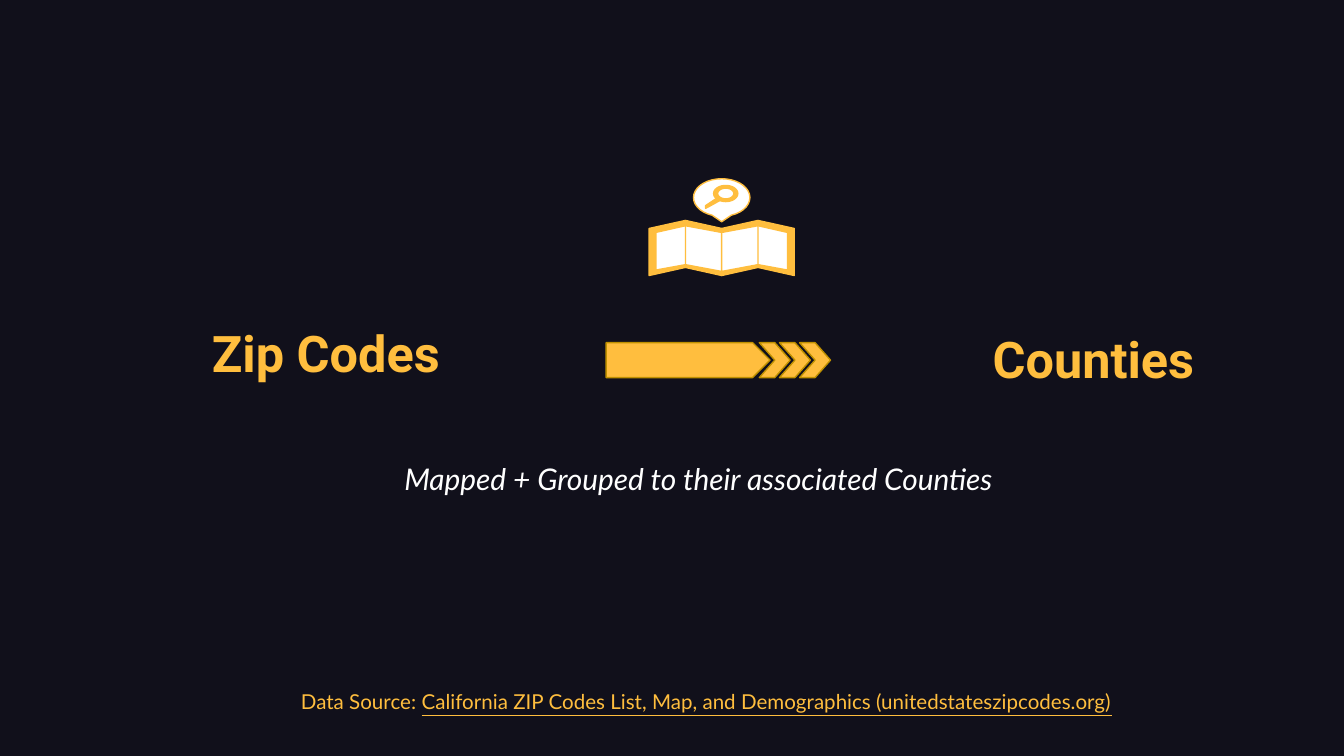
"""Build the slide that maps zip codes to counties."""
import math
from pptx import Presentation
from pptx import util as u
from pptx.dml.color import RGBColor
from pptx.enum import shapes, text

WIDTH = 10
HEIGHT = WIDTH * 9 / 16
GOLD, WHITE, NIGHT, BRONZE = "FFBE3E", "FFFFFF", "11101B", "BF9000"

HEADINGS = [("Zip Codes", (1.31, 2.3, 2.23, 0.51)), ("Counties", (7.04, 2.34, 2.19, 0.54))]
CAPTION = "Mapped + Grouped to their associated Counties"
SOURCE = ("Data Source: ", "California ZIP Codes List, Map, and Demographics (unitedstateszipcodes.org)")

ARROW_TOP, ARROW_HEIGHT = 2.55, 0.26
BAR_LEFT, BAR_WIDTH = 4.51, 1.22
CHEVRON_LEFT, CHEVRON_WIDTH, CHEVRON_STEP, CHEVRONS = 5.65, 0.23, 0.15, 3

MAP_LEFT, FOLD_WIDTH, FOLDS, MARGIN = 4.83, 0.27, 4, 0.05
CENTRE = MAP_LEFT + 2 * FOLD_WIDTH
HANDLE = [(5.34, 1.47), (5.25, 1.53), (5.25, 1.55), (5.27, 1.54), (5.36, 1.49), (5.37, 1.48)]


def colour(value):
    return RGBColor.from_string(value)


def place(box, left, top, width, height):
    box.left, box.top, box.width, box.height = map(u.Inches, (left, top, width, height))


def write(box, *parts, size, font, ink, bold=False, italic=False, align=text.PP_ALIGN.LEFT, after=0):
    frame = box.text_frame
    frame.word_wrap = True
    frame.auto_size = text.MSO_AUTO_SIZE.NONE
    frame.vertical_anchor = text.MSO_ANCHOR.TOP
    frame.margin_left = frame.margin_right = frame.margin_top = frame.margin_bottom = u.Inches(0.1)
    para = frame.paragraphs[0]
    para.alignment, para.space_after = align, u.Pt(after)
    for index, part in enumerate(parts):
        span = para.add_run()
        span.text = part
        span.font.size, span.font.name = u.Pt(size), font
        span.font.bold, span.font.italic = bold, italic
        span.font.underline = index > 0
        span.font.color.rgb = colour(ink)


def paint(shape, fill, line):
    shape.shadow.inherit = False
    shape.fill.solid()
    shape.fill.fore_color.rgb = colour(fill)
    shape.line.color.rgb = colour(line)
    shape.line.width = u.Pt(0.75)


def outline(group, points, fill):
    start, *rest = [(u.Inches(x), u.Inches(y)) for x, y in points]
    builder = group.shapes.build_freeform(*start)
    builder.add_line_segments(rest, close=True)
    paint(builder.convert_to_shape(), fill, GOLD)


def arc(x, y, across, down, start=0, stop=360, step=10):
    angles = [math.radians(angle) for angle in range(start, stop + 1, step)]
    return [(x + across * math.cos(a), y + down * math.sin(a)) for a in angles]


def strip(columns, tops, bottoms):
    return list(zip(columns, tops)) + list(zip(columns, bottoms))[::-1]


def draw_arrow(page):
    group = page.shapes.add_group_shape()
    parts = [(shapes.MSO_SHAPE.PENTAGON, BAR_LEFT, BAR_WIDTH)]
    parts += [(shapes.MSO_SHAPE.CHEVRON, CHEVRON_LEFT + i * CHEVRON_STEP, CHEVRON_WIDTH) for i in range(CHEVRONS)]
    for kind, left, width in parts:
        shape = group.shapes.add_shape(kind, *map(u.Inches, (left, ARROW_TOP, width, ARROW_HEIGHT)))
        shape.adjustments[0] = 0.5
        paint(shape, GOLD, BRONZE)


def draw_map(page):
    group = page.shapes.add_group_shape()
    outline(group, arc(CENTRE, 1.47, 0.21, 0.14, 110, 430) + [(CENTRE, 1.65)], WHITE)
    outline(group, arc(5.4, 1.44, 0.09, 0.06), GOLD)
    outline(group, arc(5.4, 1.44, 0.06, 0.04), WHITE)
    outline(group, HANDLE, GOLD)
    columns = [MAP_LEFT + i * FOLD_WIDTH for i in range(FOLDS + 1)]
    tops, bottoms = [1.7, 1.64, 1.7, 1.64, 1.7], [2.05, 1.99, 2.05, 1.99, 2.05]
    for i in range(FOLDS):
        pair = slice(i, i + 2)
        outline(group, strip(columns[pair], tops[pair], bottoms[pair]), GOLD)
    columns[0] += MARGIN
    columns[-1] -= MARGIN
    tops, bottoms = [1.73, 1.68, 1.73, 1.68, 1.73], [2.01, 1.97, 2.02, 1.97, 2.01]
    for part in (slice(0, 5), slice(0, 2), slice(2, 4)):
        outline(group, strip(columns[part], tops[part], bottoms[part]), WHITE)


def main():
    deck = Presentation()
    deck.slide_width, deck.slide_height = u.Inches(WIDTH), u.Inches(HEIGHT)
    page = deck.slides.add_slide(deck.slide_layouts[5])
    page.background.fill.solid()
    page.background.fill.fore_color.rgb = colour(NIGHT)

    boxes = [page.shapes.title, page.shapes.add_textbox(0, 0, 0, 0)]
    for box, (words, area) in zip(boxes, HEADINGS):
        place(box, *area)
        write(box, words, size=27, font="Roboto", ink=GOLD, bold=True, align=text.PP_ALIGN.CENTER)

    draw_arrow(page)
    caption = page.shapes.add_textbox(0, 0, 0, 0)
    place(caption, 2.91, 3.33, 4.91, 0.51)
    write(caption, CAPTION, size=16, font="Lato", ink=WHITE, italic=True, after=12)
    draw_map(page)
    source = page.shapes.add_textbox(0, 0, 0, 0)
    place(source, 2.14, 5.03, 6.31, 0.38)
    write(source, *SOURCE, size=11, font="Lato", ink=GOLD)
    deck.save("out.pptx")


if __name__ == "__main__":
    main()
